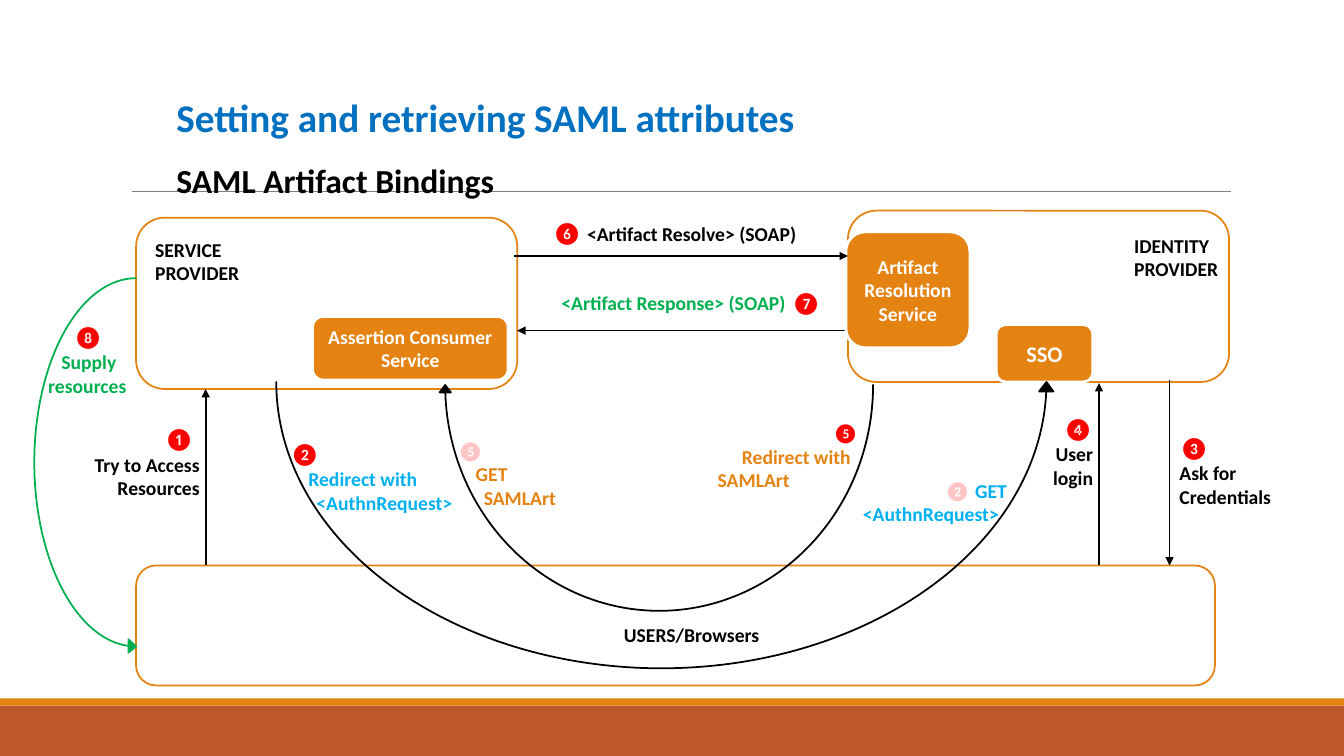
"""Builds the slide on SAML artifact bindings."""
from lxml.etree import SubElement
from pptx import Presentation
from pptx.dml.color import RGBColor
from pptx.enum.shapes import MSO_CONNECTOR as LINE, MSO_SHAPE as SHAPE
from pptx.enum.text import MSO_ANCHOR as ANCHOR, MSO_AUTO_SIZE as FIT, PP_ALIGN as ALIGN
from pptx.oxml.ns import qn
from pptx.util import Inches, Pt

WHITE = RGBColor(255, 255, 255)
BLACK = RGBColor(0, 0, 0)
GREY = RGBColor(128, 128, 128)
RED = RGBColor(255, 0, 0)
PINK = RGBColor(0xFF, 0xC5, 0xC5)
GREEN = RGBColor(0, 0xB0, 0x50)
SKY = RGBColor(0, 0xB0, 0xF0)
BLUE = RGBColor(0, 0x70, 0xC0)
AMBER = RGBColor(0xE4, 0x83, 0x12)
RUST = RGBColor(0xBD, 0x58, 0x2C)
LEFT, MID, RIGHT = ALIGN.LEFT, ALIGN.CENTER, ALIGN.RIGHT

prs = Presentation()
prs.slide_width, prs.slide_height = Inches(13.33), Inches(7.5)
slide = prs.slides.add_slide(prs.slide_layouts[5])
shapes = slide.shapes


def add_box(kind, at, fill, edge=None, width=1.25):
    box = shapes.add_shape(kind, *map(Inches, at))
    box.shadow.inherit = False
    box.fill.solid()
    box.fill.fore_color.rgb = fill
    if edge is None:
        box.line.fill.background()
    else:
        box.line.color.rgb = edge
        box.line.width = Pt(width)
    return box


def add_line(start, end, color=BLACK, width=1.25, arrow=True):
    line = shapes.add_connector(LINE.STRAIGHT, *map(Inches, start + end))
    line.line.color.rgb = color
    line.line.width = Pt(width)
    if arrow:
        SubElement(line.line._get_or_add_ln(), qn("a:tailEnd"), type="triangle")
    SubElement(line._element.spPr, qn("a:effectLst"))


add_box(SHAPE.RECTANGLE, (0, 7, 13.33, 0.5), RUST)
add_box(SHAPE.RECTANGLE, (0, 6.93, 13.33, 0.07), AMBER)
add_line((1.31, 1.9), (12.21, 1.9), GREY, 0.5, False)

title = shapes.title
title.left, title.top = Inches(1.65), Inches(0.64)
title.width, title.height = Inches(7.14), Inches(1.35)
frame = title.text_frame
frame.text = "Setting and retrieving SAML attributes\nSAML Artifact Bindings"
frame.auto_size, frame.vertical_anchor = FIT.NONE, ANCHOR.TOP
for para, size, color in zip(frame.paragraphs, (28, 24), (BLUE, BLACK)):
    para.alignment, para.line_spacing = LEFT, 1.5
    font = para.runs[0].font
    font.name, font.size, font.bold = "Calibri", Pt(size), True
    font.color.rgb = color
shapes._spTree.append(title._element)

for at in ((8.41, 2.09, 3.78, 1.7), (1.35, 2.16, 3.78, 1.7), (1.35, 5.61, 10.7, 1.19)):
    add_box(SHAPE.ROUNDED_RECTANGLE, at, WHITE, AMBER)

for start, end in (
    ((2.04, 5.61), (2.04, 3.86)),
    ((11.6, 3.77), (11.6, 5.61)),
    ((10.9, 5.61), (10.9, 3.8)),
    ((8.41, 3.28), (5.13, 3.28)),
):
    add_line(start, end)

for text, size, at in (
    ("SSO", 16, (9.88, 3.22, 0.96, 0.57)),
    ("Assertion Consumer Service", 14, (3.1, 3.14, 1.94, 0.63)),
    ("Artifact\nResolution\nService", 14, (8.39, 2.3, 1.23, 1.15)),
):
    box = add_box(SHAPE.ROUNDED_RECTANGLE, at, AMBER, WHITE, 2)
    box.text_frame.text = text
    box.text_frame.word_wrap = True
    for para in box.text_frame.paragraphs:
        para.alignment = MID
        font = para.font
        font.name, font.size, font.bold = "Calibri", Pt(size), True
        font.color.rgb = WHITE

add_line((5.1, 2.54), (8.41, 2.54))

for kind, at, color, bend, flip in (
    (SHAPE.CURVED_RIGHT_ARROW, (0.34, 2.76, 1.01, 3.72), GREEN, (0, 0.131, 0.076), False),
    (SHAPE.CURVED_UP_ARROW, (4.36, 3.82, 4.3, 2.24), BLACK, (0, 0.05, 0.033), True),
    (SHAPE.CURVED_UP_ARROW, (2.74, 3.79, 7.71, 2.84), BLACK, (0, 0.05, 0.033), False),
):
    arc = add_box(kind, at, color, color)
    for i, value in enumerate(bend):
        arc.adjustments[i] = value
    if flip:
        arc._element.spPr.find(qn("a:xfrm")).set("flipH", "1")

LABELS = (
    ((6.08, 6.13, 1.56, 0.34), MID, [(0, ("USERS/Browsers", BLACK, 14))]),
    ((1.44, 2.31, 1.05, 0.57), LEFT,
     [(0, ("SERVICE", BLACK, 14)), (0, ("PROVIDER", BLACK, 14))]),
    ((11.15, 2.27, 1.13, 0.57), LEFT,
     [(0, ("IDENTITY", BLACK, 14)), (0, ("PROVIDER", BLACK, 14))]),
    ((0.83, 4.14, 1.25, 0.88), RIGHT,
     [(0, ("❶", RED, 16), (" ", BLACK, 18)),
      (0, ("Try to Access", BLACK, 14)), (0, ("Resources", BLACK, 14))]),
    ((11.6, 4.26, 1.46, 1.14), LEFT,
     [(0, ("❸", RED, 16)), (0, ("Ask for", BLACK, 14)), (0, ("Credentials", BLACK, 14))]),
    ((2.78, 4.32, 2.02, 0.84), LEFT,
     [(0, ("❷", RED, 16)), (0.18, ("Redirect with", SKY, 14)),
      (0.26, ("<AuthnRequest>", SKY, 14))]),
    ((5.38, 2.13, 2.9, 0.37), LEFT,
     [(0, ("❻ ", RED, 16), ("<Artifact Resolve> (SOAP)", BLACK, 14))]),
    ((7.75, 2.82, 0.5, 0.37), LEFT, [(0, ("❼", RED, 16))]),
    ((8.1, 4.7, 2.02, 0.57), LEFT,
     [(1.17, ("❷ ", PINK, 14), ("GET", SKY, 14)), (0.36, ("<AuthnRequest>", SKY, 14))]),
    ((10.34, 4.07, 0.6, 0.84), RIGHT,
     [(0, ("❹", RED, 16)), (0, ("User", BLACK, 14)), (0, ("login", BLACK, 14))]),
    ((0.38, 3.16, 0.98, 0.84), LEFT,
     [(0.25, ("❽", RED, 16)), (0.13, ("Supply", GREEN, 14)),
      (0, ("resources", GREEN, 14))]),
    ((6.76, 4.13, 2.02, 0.81), LEFT,
     [(1.4, ("❺", RED, 14)), (0.5, ("Redirect with", AMBER, 14)),
      (0.26, ("SAMLArt", AMBER, 14))]),
    ((4.44, 4.3, 2.02, 0.81), LEFT,
     [(0, ("❺", PINK, 14)), (0.18, ("GET", AMBER, 14)), (0.26, ("SAMLArt", AMBER, 14))]),
    ((5.47, 2.84, 2.9, 0.34), LEFT, [(0, ("<Artifact Response> (SOAP)", GREEN, 14))]),
)
for at, align, rows in LABELS:
    frame = shapes.add_textbox(*map(Inches, at)).text_frame
    frame.word_wrap = True
    if align != LEFT:
        frame.margin_left = 0
    if align != RIGHT:
        frame.margin_right = 0
    for i, (indent, *parts) in enumerate(rows):
        para = frame.add_paragraph() if i else frame.paragraphs[0]
        para.alignment = align
        if indent:
            para._p.get_or_add_pPr().set("marL", str(Inches(indent)))
        for text, color, size in parts:
            run = para.add_run()
            run.text = text
            font = run.font
            font.name, font.size = "Calibri", Pt(size)
            font.bold = text.isascii() and text != " "
            font.color.rgb = color

prs.save("out.pptx")
